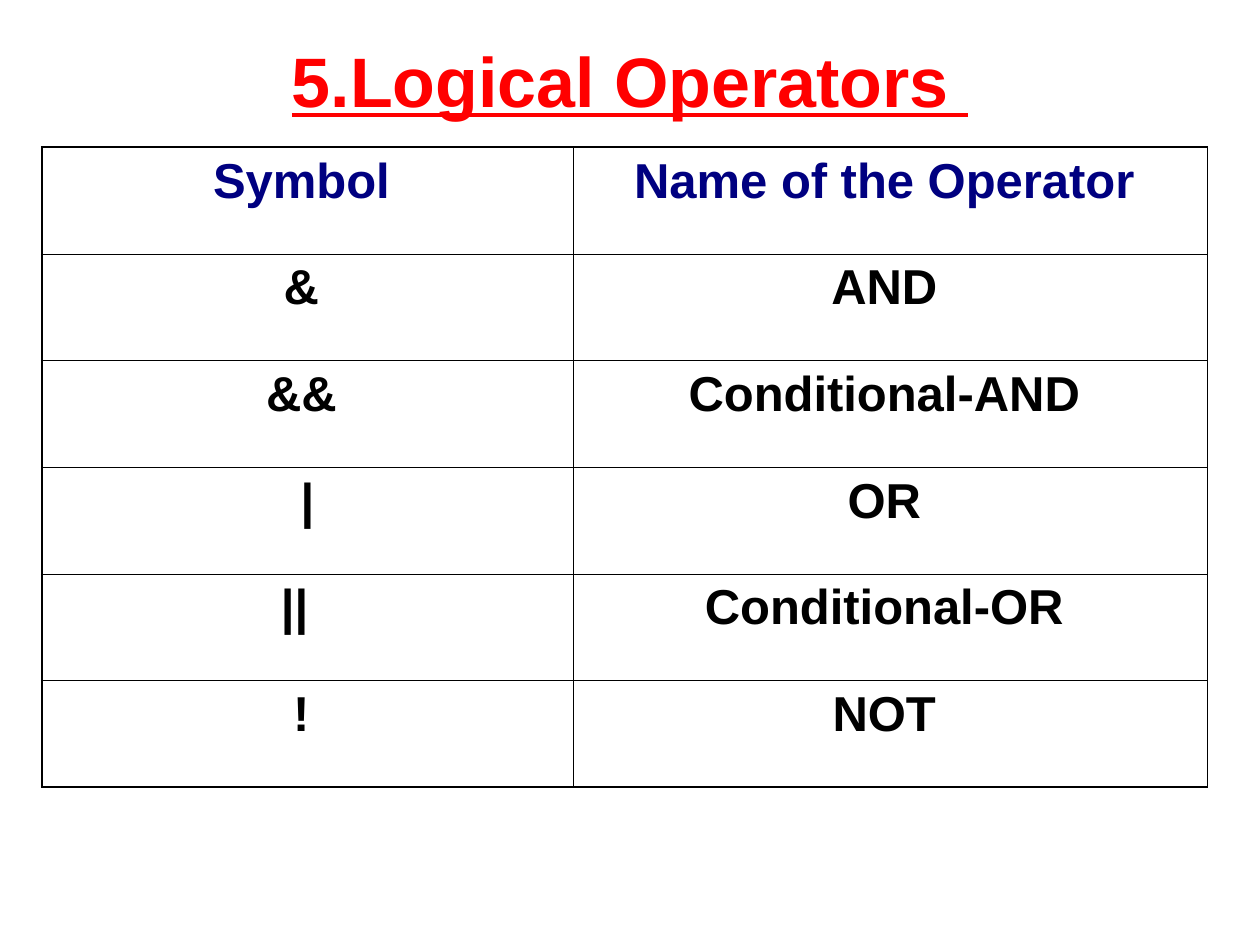
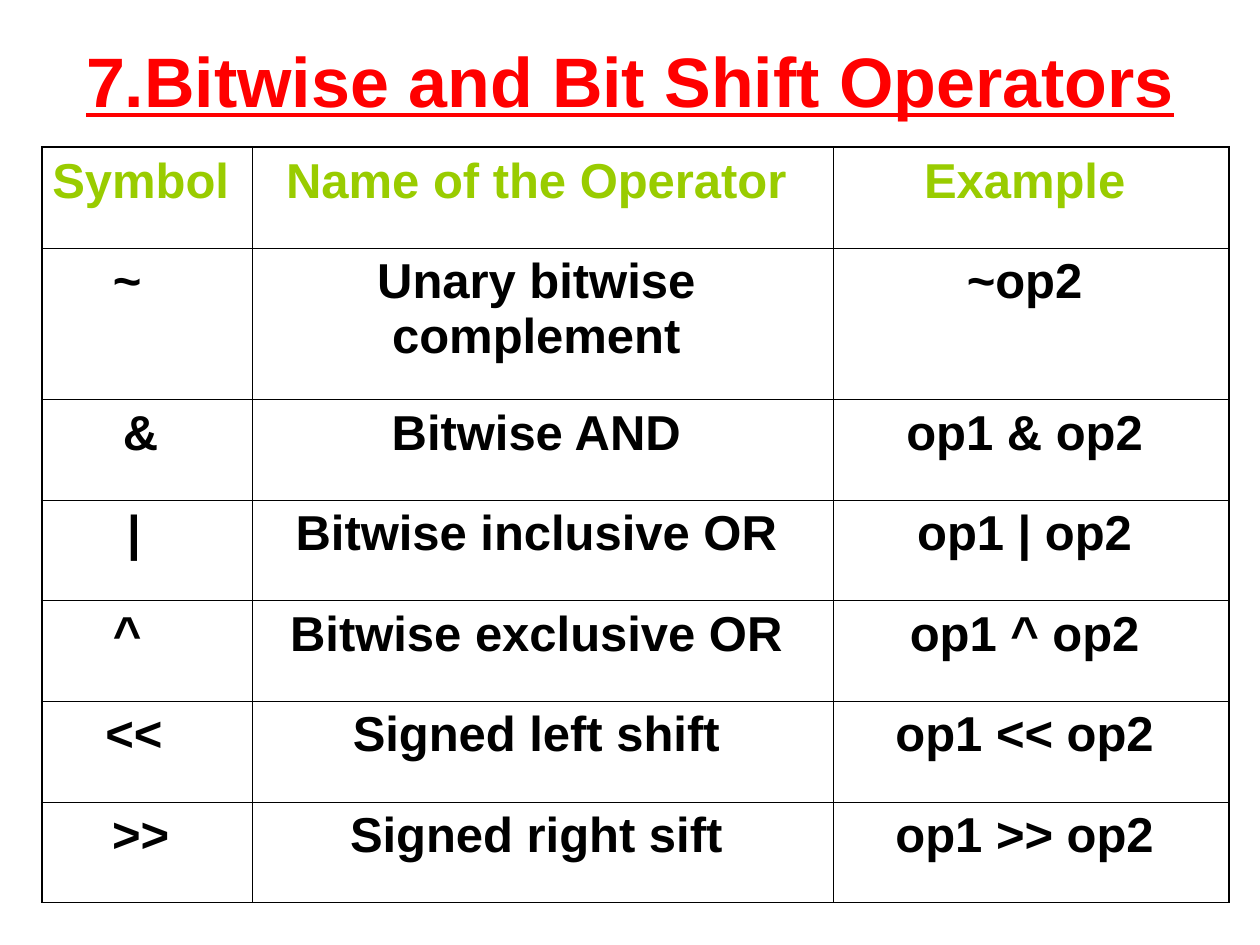
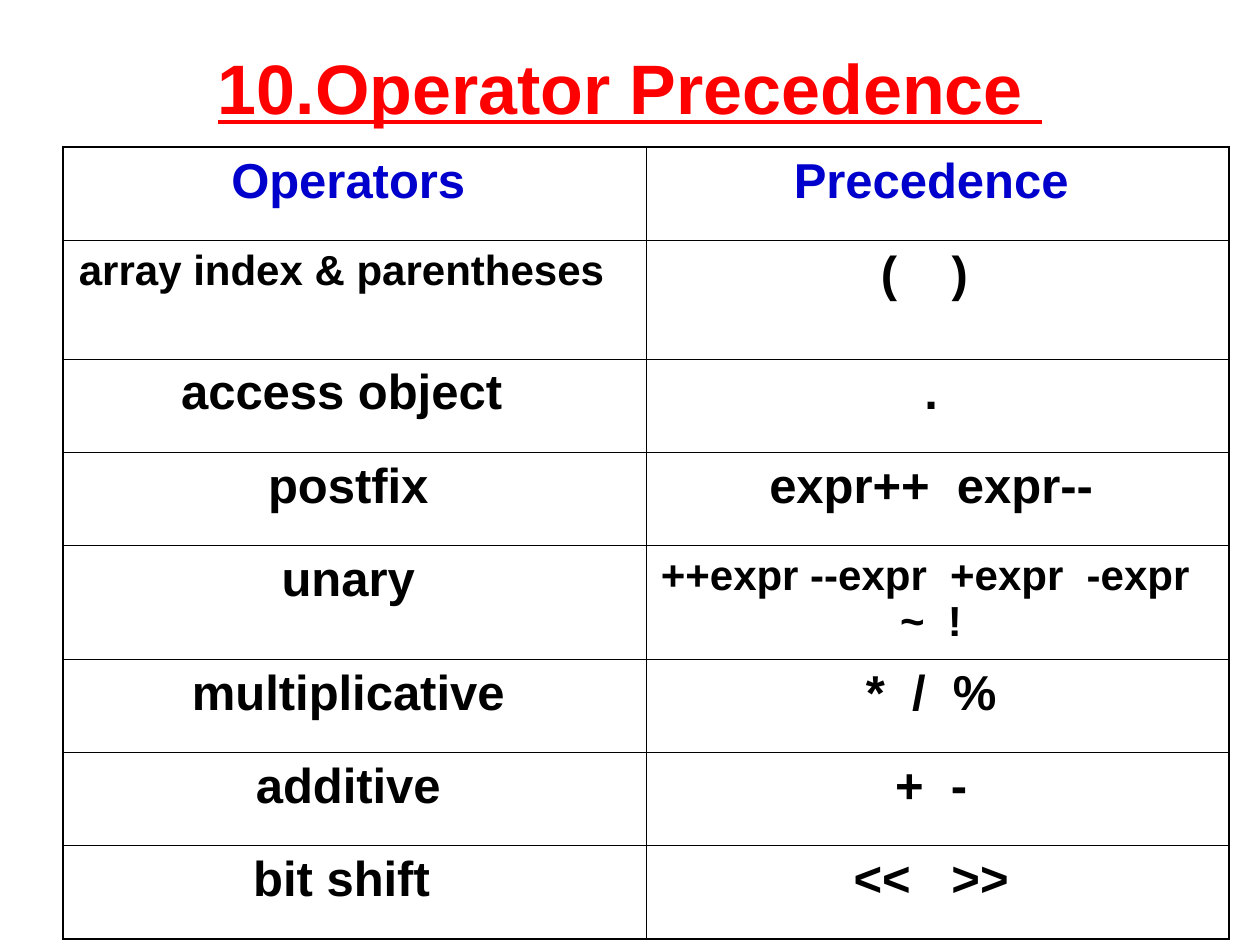
"""Builds three slides of operator tables."""
import lxml.etree
import pptx
import pptx.dml.color
import pptx.enum.text
import pptx.oxml.ns
import pptx.util

Cm = pptx.util.Cm
Pt = pptx.util.Pt
RGBColor = pptx.dml.color.RGBColor
ANCHOR = pptx.enum.text.MSO_ANCHOR

RED = RGBColor(0xFF, 0x00, 0x00)
NAVY = RGBColor(0x00, 0x00, 0x80)
LIME = RGBColor(0x99, 0xCC, 0x00)
BLUE = RGBColor(0x00, 0x00, 0xCC)
BLACK = RGBColor(0x00, 0x00, 0x00)


def write_text(tf, text, size=28, color=BLACK, underline=False):
    p = tf.paragraphs[0]
    p.alignment = pptx.enum.text.PP_ALIGN.CENTER
    r = p.add_run()
    r.text = text
    r.font.name = "Arial"
    r.font.size = Pt(size)
    r.font.bold = True
    r.font.underline = underline
    r.font.color.rgb = color


class Deck:
    TABLE_TOP = 2.97
    INNER_LINE = 0.45
    OUTER_LINE = 1.08
    MARGIN = 0.25
    SPACE = 0.27

    def __init__(self):
        self.prs = pptx.Presentation()
        self.prs.slide_width = Cm(25.4)
        self.prs.slide_height = Cm(19.05)
        self.s = None

    def add_slide(self, title, height=3.18, anchor=ANCHOR.TOP):
        self.s = self.prs.slides.add_slide(self.prs.slide_layouts[5])
        sp = self.s.shapes.title
        sp.left, sp.top = Cm(1.27), Cm(0.76)
        sp.width, sp.height = Cm(22.86), Cm(height)
        tf = sp.text_frame
        tf.auto_size = pptx.enum.text.MSO_AUTO_SIZE.NONE
        tf.word_wrap = True
        tf.margin_top = tf.margin_bottom = 0
        tf.vertical_anchor = anchor
        write_text(tf, title, size=40, color=RED, underline=True)

    def add_border(self, cell, side, width):
        qn = pptx.oxml.ns.qn
        tcPr = cell._tc.get_or_add_tcPr()
        ln = lxml.etree.SubElement(tcPr, qn(f"a:ln{side}"), w=str(Pt(width)))
        fill = lxml.etree.SubElement(ln, qn("a:solidFill"))
        lxml.etree.SubElement(fill, qn("a:srgbClr"), val=str(BLACK))

    def add_cell(self, cell, text, outer_sides, color, size=28, nudge=0):
        cell.margin_left = 0
        cell.margin_right = Cm(self.MARGIN + nudge * self.SPACE)
        cell.margin_top = cell.margin_bottom = Cm(0.13)
        for side in "LRTB":
            width = self.OUTER_LINE if side in outer_sides else self.INNER_LINE
            self.add_border(cell, side, width)
        cell.fill.background()
        write_text(cell.text_frame, text, size=size, color=color)

    def add_table(self, left, widths, heights, header_color, rows, formats):
        table = self.s.shapes.add_table(
            len(rows), len(widths), Cm(left), Cm(self.TABLE_TOP),
            Cm(sum(widths)), Cm(sum(heights))).table
        table.first_row = table.horz_banding = False
        for column, width in zip(table.columns, widths):
            column.width = Cm(width)
        for row, height in zip(table.rows, heights):
            row.height = Cm(height)
        for i, texts in enumerate(rows):
            for j, text in enumerate(texts):
                edges = {"L": j == 0, "R": j == len(widths) - 1,
                         "T": i == 0, "B": i == len(rows) - 1}
                outer_sides = [side for side, at_edge in edges.items() if at_edge]
                self.add_cell(table.cell(i, j), text, outer_sides,
                              BLACK if i else header_color,
                              **formats.get((i, j), {}))


def main():
    deck = Deck()

    deck.add_slide("5.Logical Operators ")
    deck.add_table(0.84, [10.72, 12.78], [2.15] * 6, NAVY, [
        ["Symbol", "Name of the Operator"],
        ["&", "AND"],
        ["&&", "Conditional-AND"],
        ["|", "OR"],
        ["||", "Conditional-OR"],
        ["!", "NOT"],
    ], {(3, 0): {"nudge": -0.9}, (4, 0): {"nudge": 1}})

    deck.add_slide("7.Bitwise and Bit Shift Operators")
    deck.add_table(0.84, [4.24, 11.71, 7.98], [2.03, 3.05] + [2.03] * 5, LIME, [
        ["Symbol", "Name of the Operator", "Example"],
        ["~", "Unary bitwise complement", "~op2"],
        ["&", "Bitwise AND", "op1 & op2"],
        ["|", "Bitwise inclusive OR", "op1 | op2"],
        ["^", "Bitwise exclusive OR", "op1 ^ op2"],
        ["<<", "Signed left shift", "op1 << op2"],
        [">>", "Signed right sift", "op1 >> op2"],
    ], {(1, 0): {"nudge": 2}, (3, 0): {"nudge": 1},
        (4, 0): {"nudge": 2}, (5, 0): {"nudge": 1}})

    deck.add_slide("10.Operator Precedence ", height=1.98, anchor=ANCHOR.MIDDLE)
    heights = [1.88, 2.39, 1.88, 1.88, 2.29, 1.88, 1.88, 1.88]
    deck.add_table(1.27, [11.75, 11.75], heights, BLUE, [
        ["Operators", "Precedence"],
        ["array index & parentheses", "(    )"],
        ["access object", "."],
        ["postfix", "expr++  expr--"],
        ["unary", "++expr --expr  +expr  -expr  ~  !"],
        ["multiplicative", "*  /  %"],
        ["additive", "+  -"],
        ["bit shift", "<<   >>"],
    ], {(1, 0): {"size": 24, "nudge": 1}, (1, 1): {"nudge": 1},
        (2, 0): {"nudge": 1}, (4, 1): {"size": 24}, (7, 0): {"nudge": 1}})

    deck.prs.save("out.pptx")


if __name__ == "__main__":
    main()
